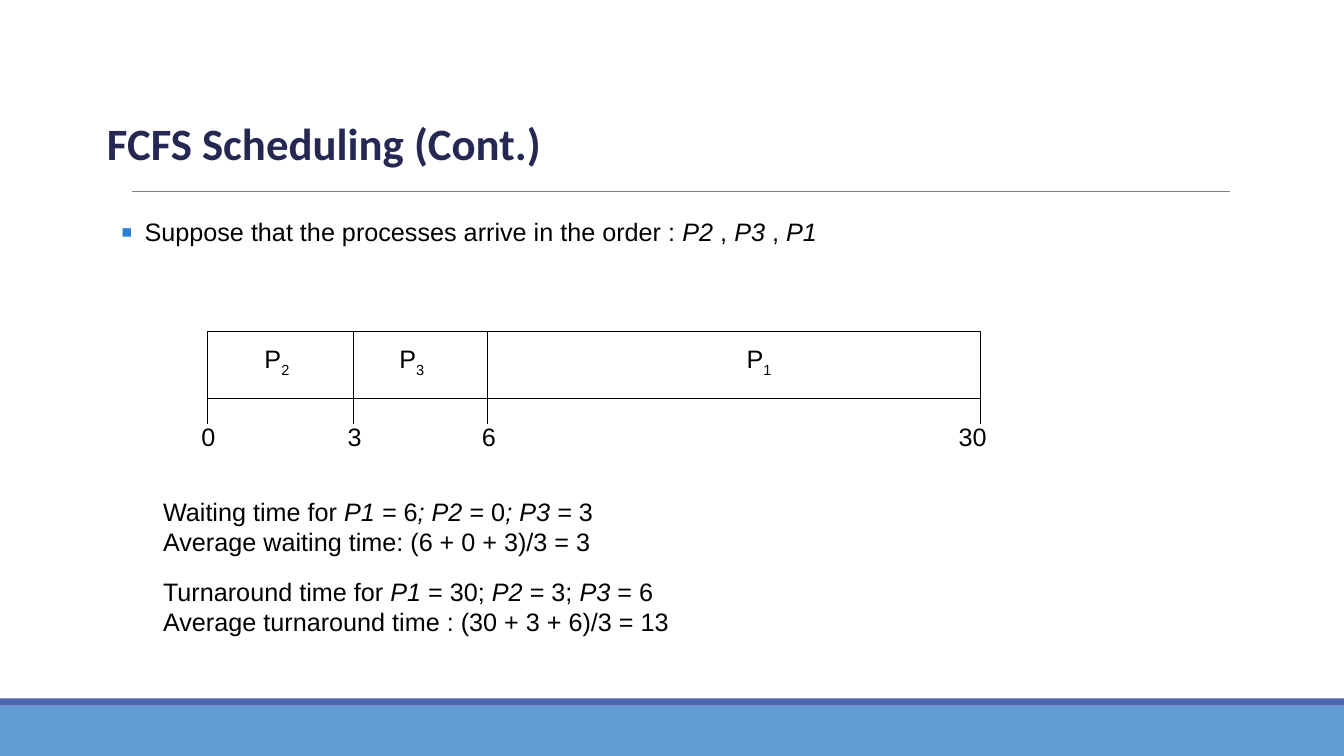
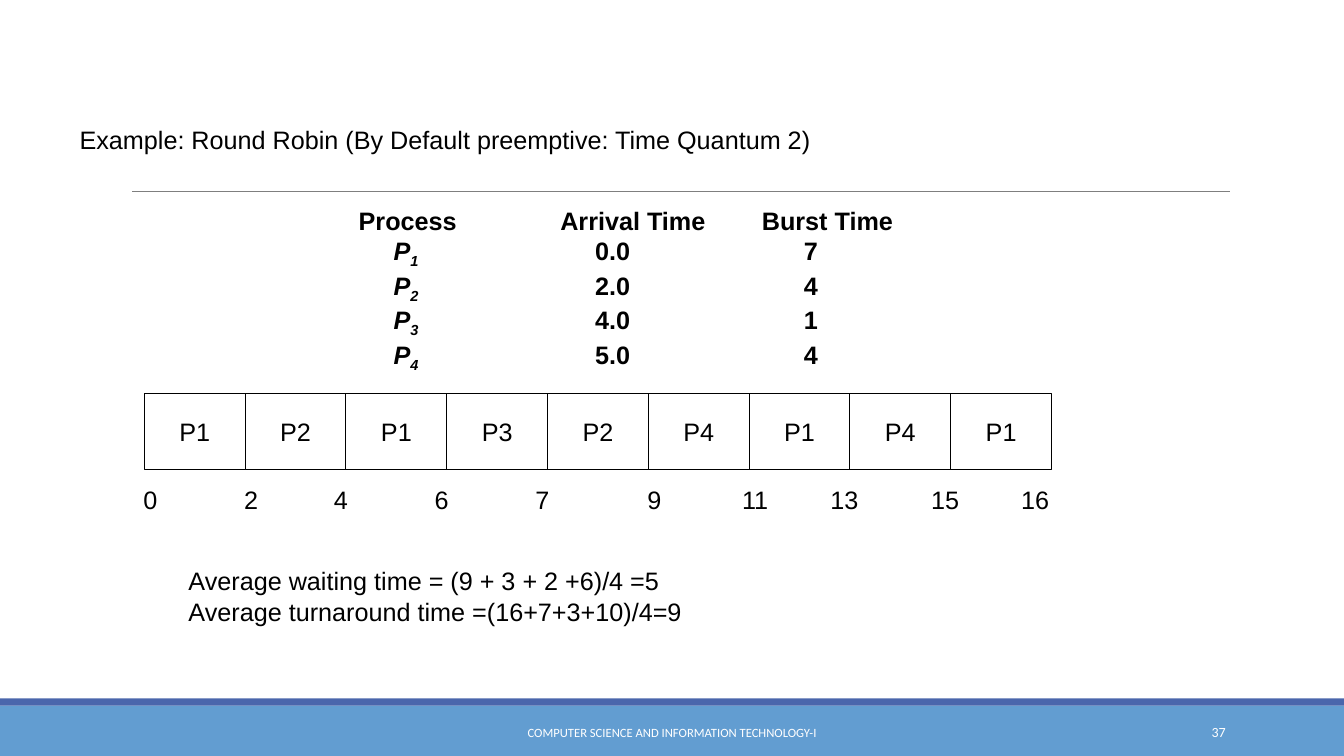
"""Build two slides on CPU scheduling with Gantt charts."""
import dataclasses
import typing

import lxml.etree
import pptx
import pptx.dml.color
import pptx.enum.shapes
import pptx.enum.text
import pptx.oxml.ns
import pptx.presentation
import pptx.shapes.autoshape
import pptx.slide
import pptx.text.text
import pptx.util

Cm = pptx.util.Cm
Pt = pptx.util.Pt
RGB = pptx.dml.color.RGBColor
Align = pptx.enum.text.PP_ALIGN
Anchor = pptx.enum.text.MSO_ANCHOR


@dataclasses.dataclass(frozen=True)
class TextStyle:
    ink: RGB
    font: dict[str, typing.Any]


@dataclasses.dataclass(frozen=True)
class Theme:
    band: RGB = RGB(0x62, 0x9D, 0xD1)
    stripe: RGB = RGB(0x4A, 0x66, 0xAC)
    rule: RGB = RGB(0x7F, 0x7F, 0x7F)
    paper: RGB = RGB(0xFF, 0xFF, 0xFF)
    ink: RGB = RGB(0, 0, 0)
    heading_ink: RGB = RGB(0x24, 0x28, 0x52)
    bullet: str = "297FD5"
    heading_size: int = 32
    text_size: int = 18
    page_size: int = 10
    footer_size: int = 9
    heading_font: str = "Calibri"
    text_font: str = "Arial"

    def style(self, size: int, ink: RGB, name: str, bold: bool = False) -> TextStyle:
        return TextStyle(ink, {"name": name, "size": Pt(size), "bold": bold})


THEME = Theme()
HEADING = THEME.style(THEME.heading_size, THEME.heading_ink, THEME.heading_font, True)
TEXT = THEME.style(THEME.text_size, THEME.ink, THEME.text_font)
STRONG = THEME.style(THEME.text_size, THEME.ink, THEME.text_font, True)
FOOTER = THEME.style(THEME.footer_size, THEME.paper, THEME.heading_font)
PAGE = THEME.style(THEME.page_size, THEME.paper, THEME.heading_font)


class Box(typing.NamedTuple):
    left: float
    top: float
    width: float
    height: float

    def lengths(self) -> list[pptx.util.Length]:
        return [Cm(side) for side in self]


class Run(typing.NamedTuple):
    text: str
    italic: bool = False
    lowered: bool = False


class Burst(typing.NamedTuple):
    number: str
    center: float


class Mark(typing.NamedTuple):
    time: str
    x: float
    center: float


class Process(typing.NamedTuple):
    number: str
    arrival: str
    burst: str


Line = list[Run]

ORDER_BURSTS = [Burst("2", 6.98), Burst("3", 10.38), Burst("1", 19.13)]
ORDER_MARKS = [Mark("0", 5.23, 5.25), Mark("3", 8.92, 8.94),
               Mark("6", 12.29, 12.32), Mark("30", 24.71, 24.51)]
ORDER_TOP, ORDER_BOTTOM, TICK_END = 8.36, 10.05, 10.69

PROCESSES = [Process("1", "0.0", "7"), Process("2", "2.0", "4"),
             Process("3", "4.0", "1"), Process("4", "5.0", "4")]
TURNS = ["P1", "P2", "P1", "P3", "P2", "P4", "P1", "P4", "P1"]
TURN_TIMES = {"0": 3.79, "2": 6.33, "4": 8.59, "6": 11.13, "7": 13.67,
              "9": 16.49, "11": 19.03, "13": 21.28, "15": 23.82, "16": 26.09}


def marked(text: str) -> Line:
    """Split text at asterisks into upright and italic runs by turns."""
    return [Run(part, italic=index % 2 == 1)
            for index, part in enumerate(text.split("*")) if part]


def write_line(paragraph: pptx.text.text._Paragraph, line: Line, style: TextStyle,
               **layout: typing.Any) -> None:
    """Write the runs of one line in the given style."""
    for key, setting in layout.items():
        setattr(paragraph, key, setting)
    for piece in line:
        run = paragraph.add_run()
        run.text = piece.text
        for key, setting in {**style.font, "italic": piece.italic}.items():
            setattr(run.font, key, setting)
        run.font.color.rgb = style.ink
        if piece.lowered:
            run._r.get_or_add_rPr().set("baseline", "-25000")


def set_frame(frame: pptx.text.text.TextFrame, anchor: Anchor, wrap: bool = True) -> None:
    """Fix the anchor, wrapping and size of a text frame."""
    settings = {"vertical_anchor": anchor, "word_wrap": wrap,
                "auto_size": pptx.enum.text.MSO_AUTO_SIZE.NONE}
    for key, setting in settings.items():
        setattr(frame, key, setting)


def place(holder: pptx.shapes.autoshape.Shape, box: Box) -> None:
    """Move a placeholder to its box."""
    for key, length in zip(("left", "top", "width", "height"), box.lengths()):
        setattr(holder, key, length)


def add_block(slide: pptx.slide.Slide, box: Box, fill: RGB, outline: RGB | None = None,
              caption: str = "") -> None:
    """Draw a flat rectangle, outlined if a colour is given, with a centred caption."""
    block = slide.shapes.add_shape(pptx.enum.shapes.MSO_SHAPE.RECTANGLE, *box.lengths())
    block.shadow.inherit = False
    block.fill.solid()
    block.fill.fore_color.rgb = fill
    if outline is None:
        block.line.fill.background()
    else:
        block.line.color.rgb = outline
        block.line.width = Pt(0.75)
    if caption:
        set_frame(block.text_frame, Anchor.MIDDLE, wrap=False)
        write_line(block.text_frame.paragraphs[0], [Run(caption)], TEXT,
                   alignment=Align.CENTER)


def add_line(slide: pptx.slide.Slide, start: tuple[float, float],
             end: tuple[float, float], color: RGB, width: float) -> None:
    """Draw a straight line without a shadow."""
    line = slide.shapes.add_connector(
        pptx.enum.shapes.MSO_CONNECTOR.STRAIGHT, *[Cm(value) for value in start + end])
    line.line.color.rgb = color
    line.line.width = Pt(width)
    lxml.etree.SubElement(line._element.spPr, pptx.oxml.ns.qn("a:effectLst"))


def add_text(slide: pptx.slide.Slide, box: Box, lines: list[Line], style: TextStyle = TEXT,
             align: Align = Align.LEFT, anchor: Anchor = Anchor.TOP, wrap: bool = True,
             gaps: dict[int, float] | None = None) -> None:
    """Add a text box, with extra space before the lines listed in gaps."""
    frame = slide.shapes.add_textbox(*box.lengths()).text_frame
    set_frame(frame, anchor, wrap)
    for index, line in enumerate(lines):
        paragraph = frame.add_paragraph() if index else frame.paragraphs[0]
        write_line(paragraph, line, style, alignment=align,
                   space_before=Pt((gaps or {}).get(index, 0)))


def add_label(slide: pptx.slide.Slide, center: float, top: float, width: float,
              height: float, line: Line) -> None:
    """Add a short label centred on a horizontal position."""
    add_text(slide, Box(center - width / 2, top, width, height), [line],
             align=Align.CENTER, anchor=Anchor.MIDDLE, wrap=False)


def add_scheduling_slide(deck: pptx.presentation.Presentation, layout: int, title: str,
                         box: Box, style: TextStyle, spacing: float) -> pptx.slide.Slide:
    """Add a slide with its title, rule and bottom bands."""
    slide = deck.slides.add_slide(deck.slide_layouts[layout])
    heading = slide.shapes.title
    place(heading, box)
    set_frame(heading.text_frame, Anchor.BOTTOM)
    write_line(heading.text_frame.paragraphs[0], [Run(title)], style,
               alignment=Align.LEFT, line_spacing=spacing)
    add_block(slide, Box(0, 17.78, 33.87, 1.27), THEME.band)
    add_block(slide, Box(0, 17.6, 33.87, 0.18), THEME.stripe)
    add_line(slide, (3.33, 4.83), (30.99, 4.83), THEME.rule, 0.5)
    return slide


def add_order_statement(slide: pptx.slide.Slide) -> None:
    """Fill the body placeholder with the bulleted arrival order."""
    body = slide.placeholders[1]
    place(body, Box(2.79, 5.33, 22.33, 1.8))
    set_frame(body.text_frame, Anchor.TOP)
    paragraph = body.text_frame.paragraphs[0]
    write_line(paragraph,
               marked("Suppose that the processes arrive in the order : *P2* , *P3* , *P1*"),
               TEXT, space_before=Pt(0), alignment=Align.LEFT)
    properties = paragraph._p.get_or_add_pPr()
    properties.set("marL", str(Cm(0.6)))
    properties.set("indent", str(-Cm(0.6)))
    qn = pptx.oxml.ns.qn
    tint = lxml.etree.SubElement(properties, qn("a:buClr"))
    lxml.etree.SubElement(tint, qn("a:srgbClr"), val=THEME.bullet)
    lxml.etree.SubElement(properties, qn("a:buSzPct"), val="135000")
    lxml.etree.SubElement(properties, qn("a:buFont"), typeface=THEME.text_font)
    lxml.etree.SubElement(properties, qn("a:buChar"), char="▪")


def add_order_chart(slide: pptx.slide.Slide) -> None:
    """Draw the Gantt chart of the first-come order."""
    left, right = ORDER_MARKS[0].x, ORDER_MARKS[-1].x
    add_block(slide, Box(left, ORDER_TOP, right - left, ORDER_BOTTOM - ORDER_TOP),
              THEME.paper, THEME.ink)
    for burst in ORDER_BURSTS:
        add_label(slide, burst.center, 8.53, 1.14, 1.12,
                  [Run("P"), Run(burst.number, lowered=True)])
    for mark in ORDER_MARKS[1:-1]:
        add_line(slide, (mark.x, ORDER_TOP), (mark.x, ORDER_BOTTOM), THEME.ink, 0.75)
    for mark in ORDER_MARKS:
        add_line(slide, (mark.x, ORDER_BOTTOM), (mark.x, TICK_END), THEME.ink, 0.75)
        add_label(slide, mark.center, 10.48, 0.5 + 0.36 * len(mark.time), 1.02,
                  [Run(mark.time)])


def add_process_table(slide: pptx.slide.Slide) -> None:
    """Add the table of arrival and burst times."""
    rows = [[[Run(name)] for name in ("Process", "Arrival Time", "Burst Time")]]
    rows += [[[Run("P", True), Run(process.number, True, True)],
              [Run(process.arrival)], [Run(process.burst)]] for process in PROCESSES]
    table = slide.shapes.add_table(
        len(rows), 3, *Box(9.04, 5.23, 15.24, 4.24).lengths()).table
    table.first_row = table.horz_banding = False
    for row_index, row in enumerate(rows):
        table.rows[row_index].height = Cm(0.87 if row_index else 0.76)
        for column, (line, indent) in enumerate(zip(row, (0.88, 0.88, 1.06))):
            cell = table.cell(row_index, column)
            cell.fill.background()
            margins = {"margin_left": Cm(indent if row_index else 0), "margin_right": 0,
                       "margin_top": 0, "margin_bottom": 0}
            for key, margin in margins.items():
                setattr(cell, key, margin)
            write_line(cell.text_frame.paragraphs[0], line, STRONG)


def add_turn_chart(slide: pptx.slide.Slide) -> None:
    """Draw the Gantt chart of the round robin turns."""
    left, width, time_width = 3.64, 2.54, 1.98
    for index, turn in enumerate(TURNS):
        add_block(slide, Box(left + index * width, 9.92, width, 1.91),
                  THEME.paper, THEME.ink, turn)
    for time, center in TURN_TIMES.items():
        add_block(slide, Box(center - time_width / 2, 12.04, time_width, 1.07),
                  THEME.paper, caption=time)


def main() -> None:
    """Build and save the deck."""
    deck = pptx.Presentation()
    deck.slide_width, deck.slide_height = Cm(33.87), Cm(19.05)

    arrival = add_scheduling_slide(deck, 1, "FCFS Scheduling (Cont.)",
                                   Box(2.44, 2.7, 29.92, 1.7), HEADING, 0.85)
    add_order_statement(arrival)
    add_order_chart(arrival)
    add_text(arrival, Box(3.86, 12.38, 20.9, 4), [
        marked("Waiting time for *P1 =* 6*; P2* = 0*; P3 = *3"),
        marked("Average waiting time: (6 + 0 + 3)/3 = 3"),
        marked("Turnaround time for *P1* = 30; *P2* = 3; *P3 *= 6"),
        marked("Average turnaround time : (30 + 3 + 6)/3 = 13")], gaps={2: 14})

    robin = add_scheduling_slide(
        deck, 5, "Example: Round Robin (By Default preemptive: Time Quantum 2)",
        Box(1.75, 3, 19.13, 1.02), TEXT, 1)
    add_process_table(robin)
    add_turn_chart(robin)
    add_text(robin, Box(4.5, 14.13, 16.94, 1.78), [
        marked("Average waiting time = (9 + 3 + 2 +6)/4 =5"),
        marked("Average turnaround time =(16+7+3+10)/4=9")])
    add_text(robin, Box(10.24, 17.94, 13.39, 1.02),
             [[Run("COMPUTER SCIENCE AND INFORMATION TECHNOLOGY-I")]],
             FOOTER, Align.CENTER, Anchor.MIDDLE)
    add_text(robin, Box(27.51, 17.94, 3.63, 1.02), [[Run("37")]],
             PAGE, Align.RIGHT, Anchor.MIDDLE)
    deck.save("out.pptx")


if __name__ == "__main__":
    main()
